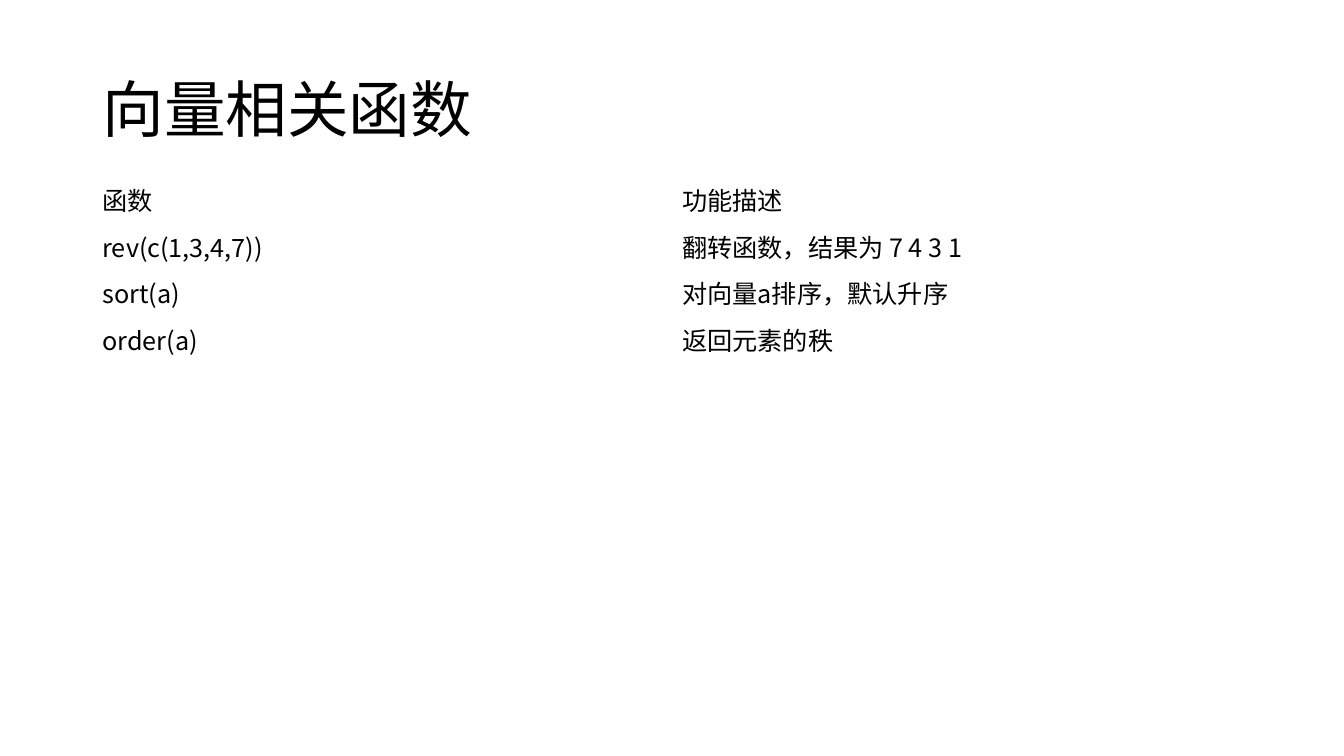
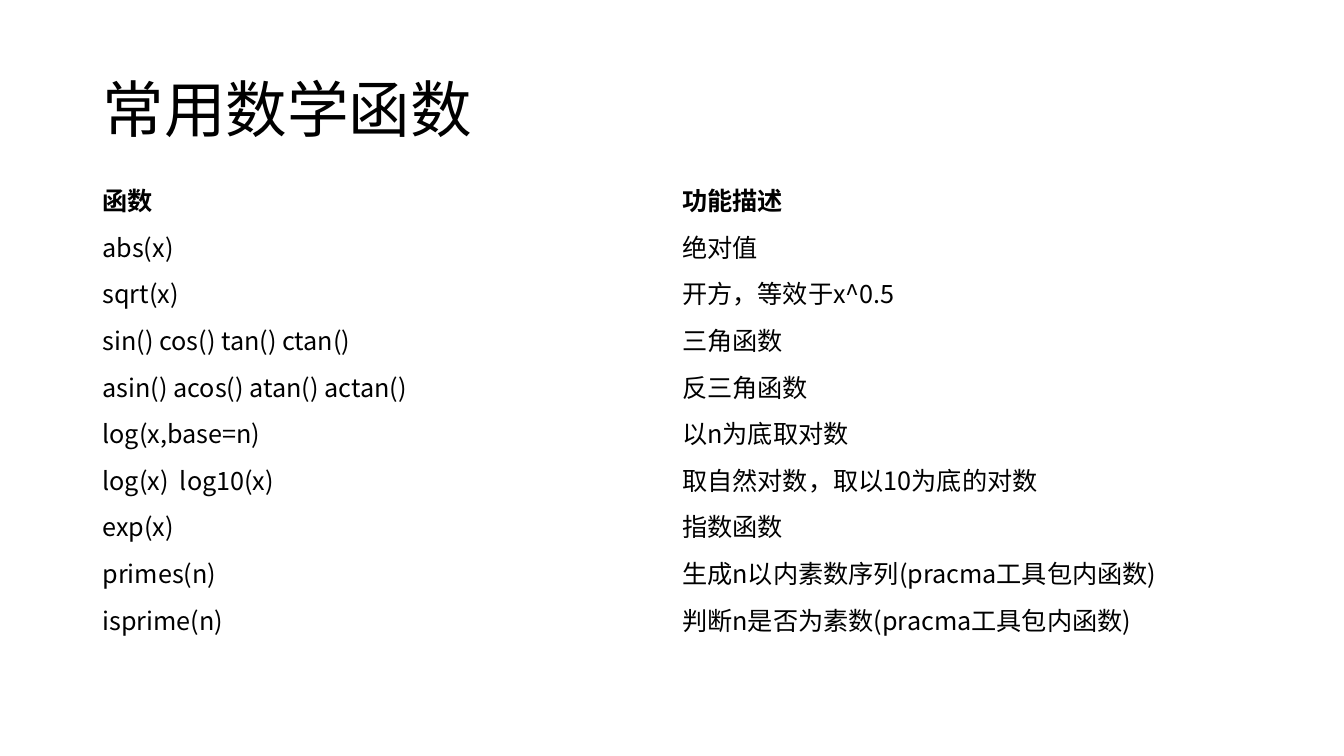
from lxml import etree
from pptx import Presentation
from pptx.dml.color import RGBColor
from pptx.enum import text
from pptx.oxml.ns import qn
from pptx.util import Pt

# Content: title, bold header or not, total table rows, filled rows
HEAD = ("函数", "功能描述")
PAGES = [
    dict(title="向量相关函数", bold=False, count=13, rows=[
        HEAD,
        ("rev(c(1,3,4,7))", "翻转函数，结果为 7 4 3 1"),
        ("sort(a)", "对向量a排序，默认升序"),
        ("order(a)", "返回元素的秩"),
    ]),
    dict(title="常用数学函数", bold=True, count=11, rows=[
        HEAD,
        ("abs(x)", "绝对值"),
        ("sqrt(x)", "开方，等效于x^0.5"),
        ("sin() cos() tan() ctan()", "三角函数"),
        ("asin() acos() atan() actan()", "反三角函数"),
        ("log(x,base=n)", "以n为底取对数"),
        ("log(x)  log10(x)", "取自然对数，取以10为底的对数"),
        ("exp(x)", "指数函数"),
        ("primes(n)", "生成n以内素数序列(pracma工具包内函数)"),
        ("isprime(n)", "判断n是否为素数(pracma工具包内函数)"),
    ]),
]

# Shared style, lengths in px
PX = 9525
COLORS = dict(ink="000000", paper="FFFFFF")
FONT = "Noto Sans CJK SC"
LEFT, WIDTH = 88, 1104
TITLE_TOP, TITLE_HIGH = 38, 139
TABLE_TOP, ROW_HIGH = 168, 39


def px(*sizes):
    return [size * PX for size in sizes]


def style(para, size, bold=False):
    for run in para.runs:
        font = run.font
        font.name, font.size, font.bold = FONT, Pt(size), bold
        font.color.rgb = RGBColor.from_string(COLORS["ink"])
        # East Asian typeface follows the Latin one
        east = etree.Element(qn("a:ea"), typeface=FONT)
        run._r.rPr.find(qn("a:latin")).addnext(east)


def add_title(slide, words):
    title = slide.shapes.title
    title.left, title.top, title.width, title.height = px(
        LEFT, TITLE_TOP, WIDTH, TITLE_HIGH)
    frame = title.text_frame
    frame.text = words
    frame.auto_size = text.MSO_AUTO_SIZE.NONE
    frame.vertical_anchor = text.MSO_ANCHOR.MIDDLE
    para = frame.paragraphs[0]
    para.alignment = text.PP_ALIGN.LEFT
    para.line_spacing = 0.9
    style(para, 44)


def add_grid(slide, page):
    count, rows = page["count"], page["rows"]
    table = slide.shapes.add_table(
        count, len(HEAD),
        *px(LEFT, TABLE_TOP, WIDTH, ROW_HIGH * count)).table
    table.first_row = table.horz_banding = False
    for cell in table.iter_cells():
        cell.fill.background()
    for i, row in enumerate(rows):
        for j, words in enumerate(row):
            frame = table.cell(i, j).text_frame
            frame.text = words
            style(frame.paragraphs[0], 18, page["bold"] and i == 0)


def main():
    deck = Presentation()
    deck.slide_width, deck.slide_height = px(1280, 720)
    back = deck.slide_master.background.fill
    back.solid()
    back.fore_color.rgb = RGBColor.from_string(COLORS["paper"])
    for page in PAGES:
        slide = deck.slides.add_slide(deck.slide_layouts[5])
        add_title(slide, page["title"])
        add_grid(slide, page)
    deck.save("out.pptx")


if __name__ == "__main__":
    main()
